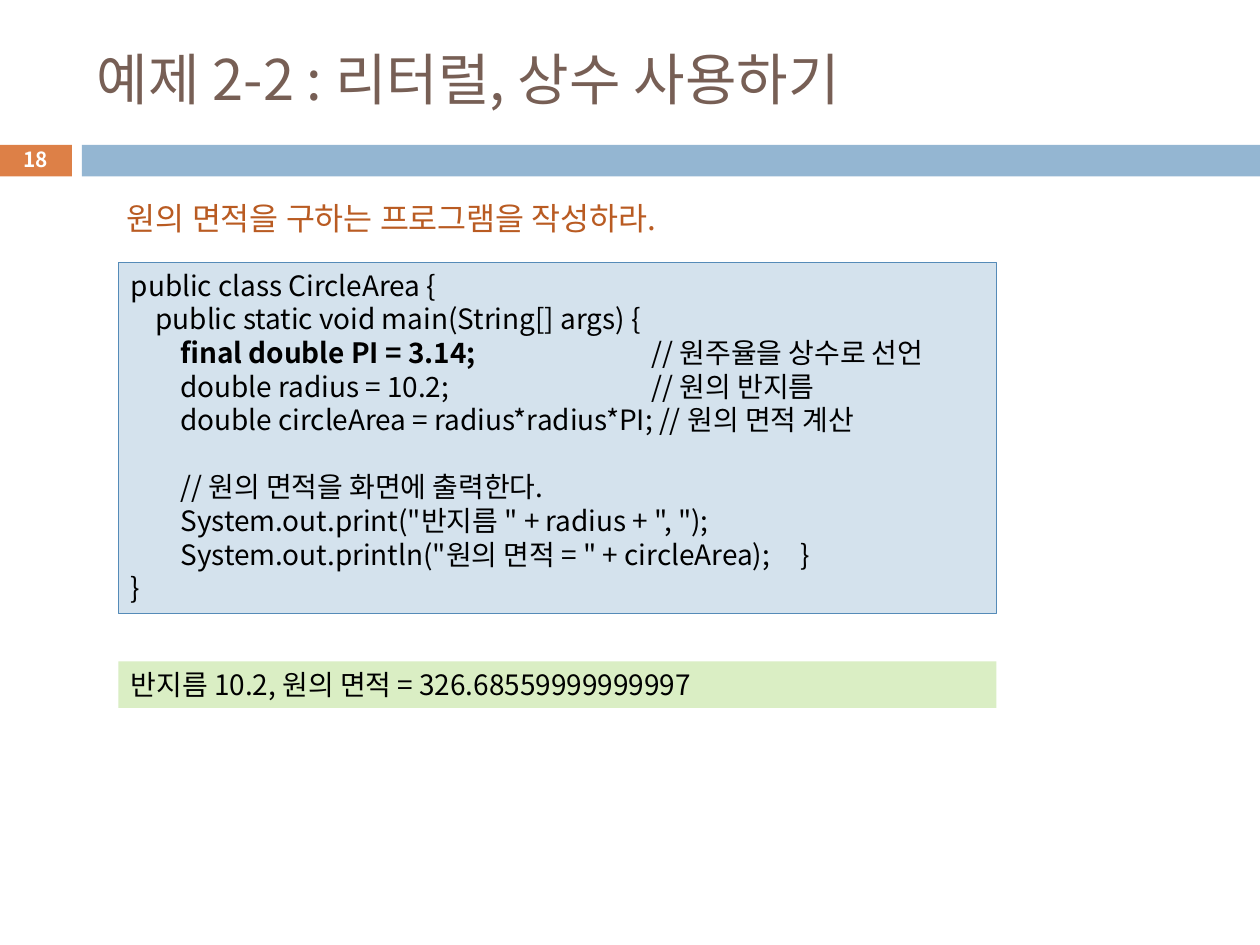
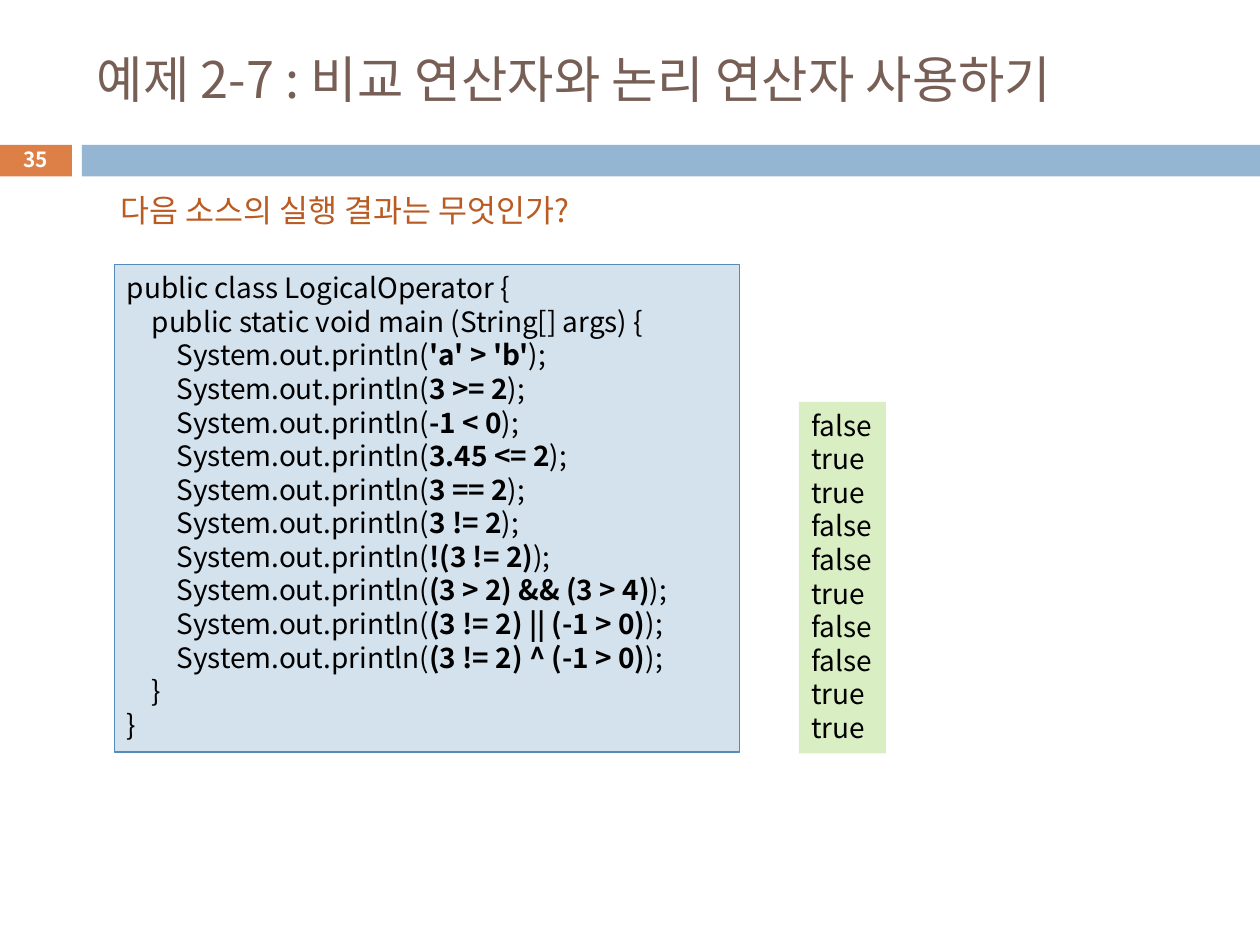
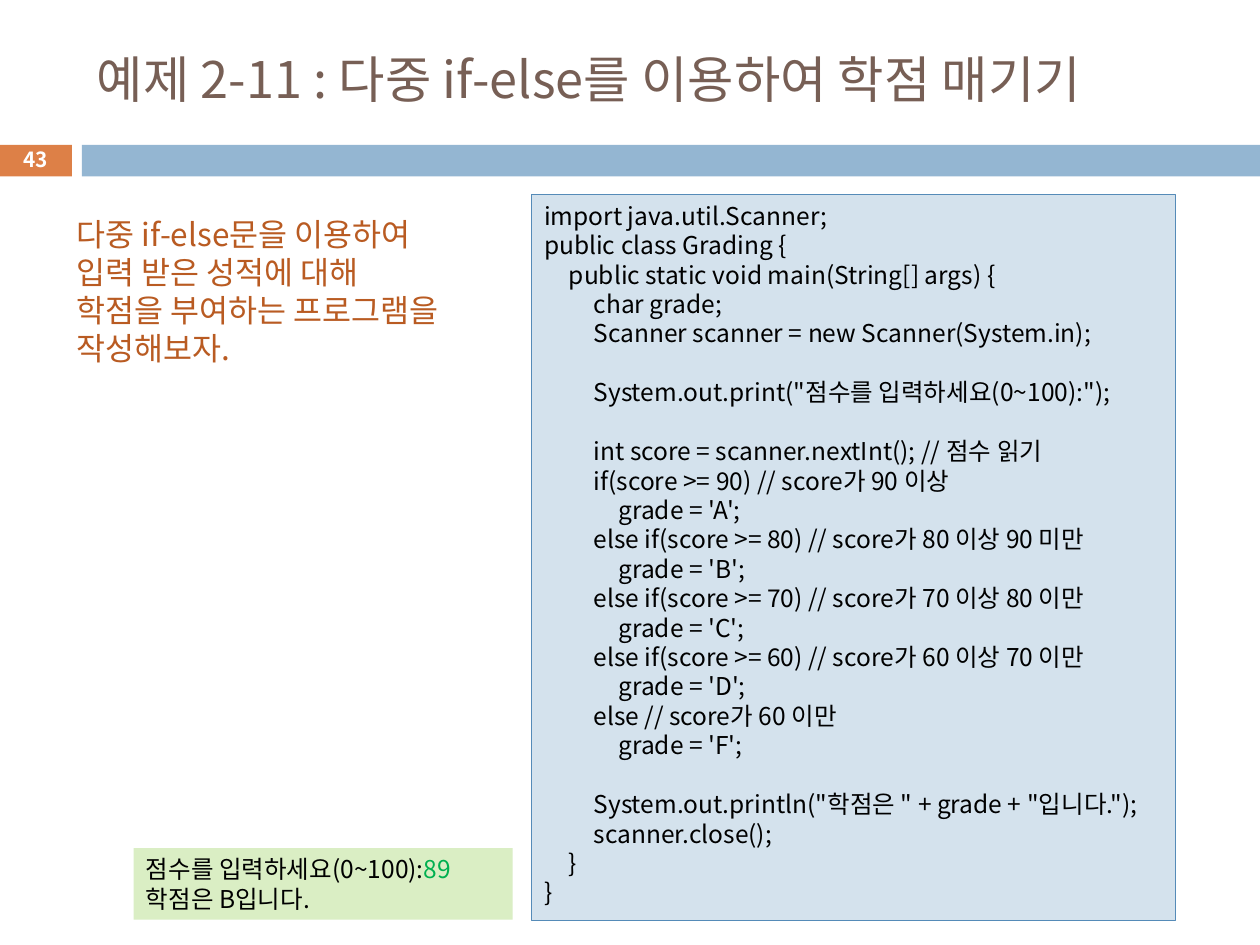
"""Build three Java example slides with code and output boxes."""
from lxml import etree
from pptx import Presentation
from pptx.dml.color import RGBColor
from pptx.enum import shapes, text
from pptx.oxml import ns
from pptx.util import Pt

FONT = "Noto Sans CJK KR"
WHITE = RGBColor(0xFF, 0xFF, 0xFF)
BLACK = RGBColor(0, 0, 0)
BROWN = RGBColor(0x77, 0x5F, 0x55)
RUST = RGBColor(0xB9, 0x5B, 0x22)
ORANGE = RGBColor(0xDD, 0x80, 0x47)
BLUE = RGBColor(0x94, 0xB6, 0xD2)
PALE = RGBColor(0xD4, 0xE2, 0xED)
EDGE = RGBColor(0x55, 0x8B, 0xB8)
LIME = RGBColor(0xDA, 0xEE, 0xC4)
GREEN = RGBColor(0, 0xB0, 0x50)

BANDS = [((-0.7, 82.8, 41.8, 18), ORANGE), ((46.8, 82.8, 673.2, 18), BLUE)]
HEAD = (48.2, 18, 642.2, 53.3)
PAGE = (-0.7, 81.4, 41.8, 19.4)
TAB = 14.17
STOPS = (1, 2, 3, 21, 27)
LEAD = 1.2

CIRCLE = """public class CircleArea {
	public static void main(String[] args) {
		`final double PI = 3.14;`	// 원주율을 상수로 선언
		double radius = 10.2;	// 원의 반지름
		double circleArea = radius*radius*PI; // 원의 면적 계산

		// 원의 면적을 화면에 출력한다.
		System.out.print("반지름 " + radius + ", ");
		System.out.println("원의 면적 = " + circleArea);	}
}"""

TESTS = [
    ("'a' > 'b'", "false"), ("3 >= 2", "true"), ("-1 < 0", "true"),
    ("3.45 <= 2", "false"), ("3 == 2", "false"), ("3 != 2", "true"),
    ("!(3 != 2)", "false"), ("(3 > 2) && (3 > 4)", "false"),
    ("(3 != 2) || (-1 > 0)", "true"), ("(3 != 2) ^ (-1 > 0)", "true"),
]
LOGIC = "\n".join([
    "public class LogicalOperator {",
    "\tpublic static void main (String[] args) {",
    *(f"\t\tSystem.out.println(`{test}`);" for test, _ in TESTS),
    "\t}",
    "}",
])

GRADE = """import java.util.Scanner;
public class Grading {
	public static void main(String[] args) {
		char grade;
		Scanner scanner = new Scanner(System.in);

		System.out.print("점수를 입력하세요(0~100):");

		int score = scanner.nextInt(); // 점수 읽기
		if(score >= 90) // score가 90 이상
			grade = 'A';
		else if(score >= 80) // score가 80 이상 90 미만
			grade = 'B';
		else if(score >= 70) // score가 70 이상 80 이만
			grade = 'C';
		else if(score >= 60) // score가 60 이상 70 이만
			grade = 'D';
		else // score가 60 이만
			grade = 'F';

		System.out.println("학점은 " + grade + "입니다.");
		scanner.close();
	}
}"""

SLIDES = [
    dict(page="18", title="예제 2-2 : 리터럴, 상수 사용하기", head=32, size=16,
         task="원의 면적을 구하는 프로그램을 작성하라.",
         ask=(65.5, 110.2, 352, 28.8),
         code=CIRCLE, area=(67.7, 149.8, 501.8, 200.9),
         out="반지름 10.2, 원의 면적 = 326.68559999999997",
         show=(67.7, 378, 501.8, 26.6)),
    dict(page="35", title="예제 2-7 : 비교 연산자와 논리 연산자 사용하기", head=28.8, size=16,
         task="다음 소스의 실행 결과는 무엇인가?",
         ask=(61.9, 105.8, 301, 28.8),
         code=LOGIC, area=(65.5, 151.2, 357.1, 278.6),
         out="\n".join(out for _, out in TESTS),
         show=(456.5, 229.7, 49.7, 200.9)),
    dict(page="43", title="예제 2-11 : 다중 if-else를 이용하여 학점 매기기", head=28.8, size=14,
         task="다중 if-else문을 이용하여\n입력 받은 성적에 대해\n"
              "학점을 부여하는 프로그램을\n작성해보자.",
         ask=(36.7, 119.5, 244.8, 94.3),
         code=GRADE, area=(303.8, 111.2, 367.9, 414.7),
         out="점수를 입력하세요(0~100):`89`\n학점은 B입니다.",
         show=(76.3, 484.6, 216.7, 41)),
]


def place(shape, area):
    """Set a shape's left, top, width and height in points."""
    shape.left, shape.top, shape.width, shape.height = map(Pt, area)


def rect(slide, area, fill, edge=None):
    """Add a flat rectangle."""
    shape = slide.shapes.add_shape(shapes.MSO_SHAPE.RECTANGLE, *map(Pt, area))
    shape.shadow.inherit = False
    shape.fill.solid()
    shape.fill.fore_color.rgb = fill
    if edge is None:
        shape.line.fill.background()
    else:
        shape.line.color.rgb = edge
        shape.line.width = Pt(0.75)
    return shape


def add_tabs(para):
    """Give a paragraph the tab stops of the code."""
    tabs = etree.SubElement(para._p.get_or_add_pPr(), ns.qn("a:tabLst"))
    for stop in STOPS:
        etree.SubElement(tabs, ns.qn("a:tab"), pos=str(Pt(stop * TAB)), algn="l")


def write(shape, words, size, ink, mark=None, bold=False, mid=False,
          align=text.PP_ALIGN.LEFT):
    """Write lines; parts between backticks are bold, or take the mark colour."""
    frame = shape.text_frame
    frame.word_wrap = True
    frame.auto_size = text.MSO_AUTO_SIZE.NONE
    frame.vertical_anchor = text.MSO_ANCHOR.MIDDLE if mid else text.MSO_ANCHOR.TOP
    if not mid:
        frame.margin_right = 0
    for row, line in enumerate(words.split("\n")):
        para = frame.add_paragraph() if row else frame.paragraphs[0]
        para.alignment = align
        para.line_spacing = Pt(round(size * LEAD, 1))
        if "\t" in line:
            add_tabs(para)
        para.font.size = Pt(size)
        for spot, part in enumerate(line.split("`")):
            if not part:
                continue
            special = spot % 2 == 1
            run = para.add_run()
            run.text = part
            font = run.font
            font.name, font.size = FONT, Pt(size)
            font.bold = bold or (special and mark is None)
            font.color.rgb = mark if special and mark else ink
            etree.SubElement(run._r.get_or_add_rPr(), ns.qn("a:ea"), typeface=FONT)


def textbox(slide, area):
    """Add an empty text box."""
    return slide.shapes.add_textbox(*map(Pt, area))


def build(deck, layout, data):
    """Add one example slide."""
    slide = deck.slides.add_slide(layout)
    title = slide.shapes.title
    place(title, HEAD)
    write(title, data["title"], data["head"], BROWN, mid=True)
    size = data["size"]
    write(rect(slide, data["area"], PALE, EDGE), data["code"], size, BLACK)
    write(textbox(slide, data["ask"]), data["task"], 18, RUST)
    write(rect(slide, data["show"], LIME), data["out"], size, BLACK, mark=GREEN)
    page = textbox(slide, PAGE)
    write(page, data["page"], 11.9, WHITE, bold=True, mid=True,
          align=text.PP_ALIGN.CENTER)
    return slide


def main():
    """Build and save the deck."""
    deck = Presentation()
    deck.slide_width, deck.slide_height = Pt(720), Pt(540)
    layout = deck.slide_layouts[5]
    made = [build(deck, layout, data) for data in SLIDES]
    for area, fill in BANDS:
        layout.shapes.element.append(rect(made[0], area, fill).element)
    deck.save("out.pptx")


if __name__ == "__main__":
    main()
